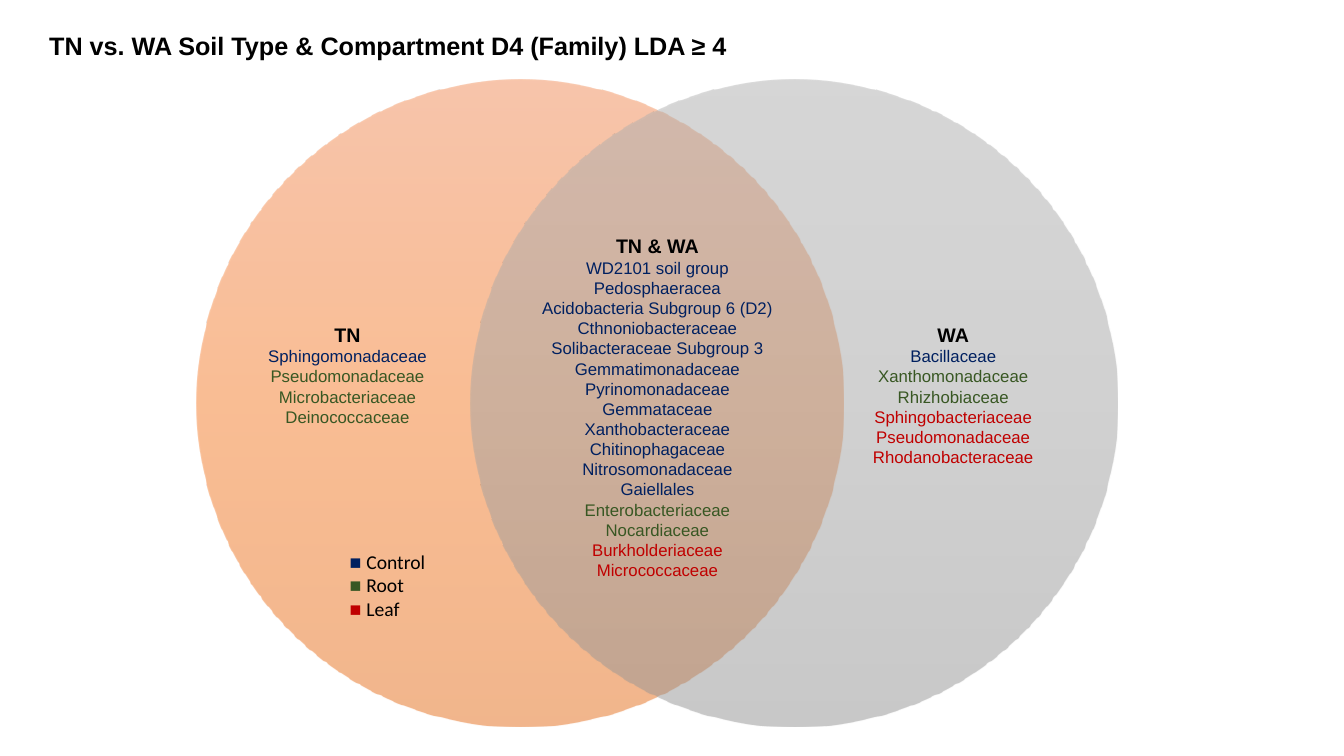
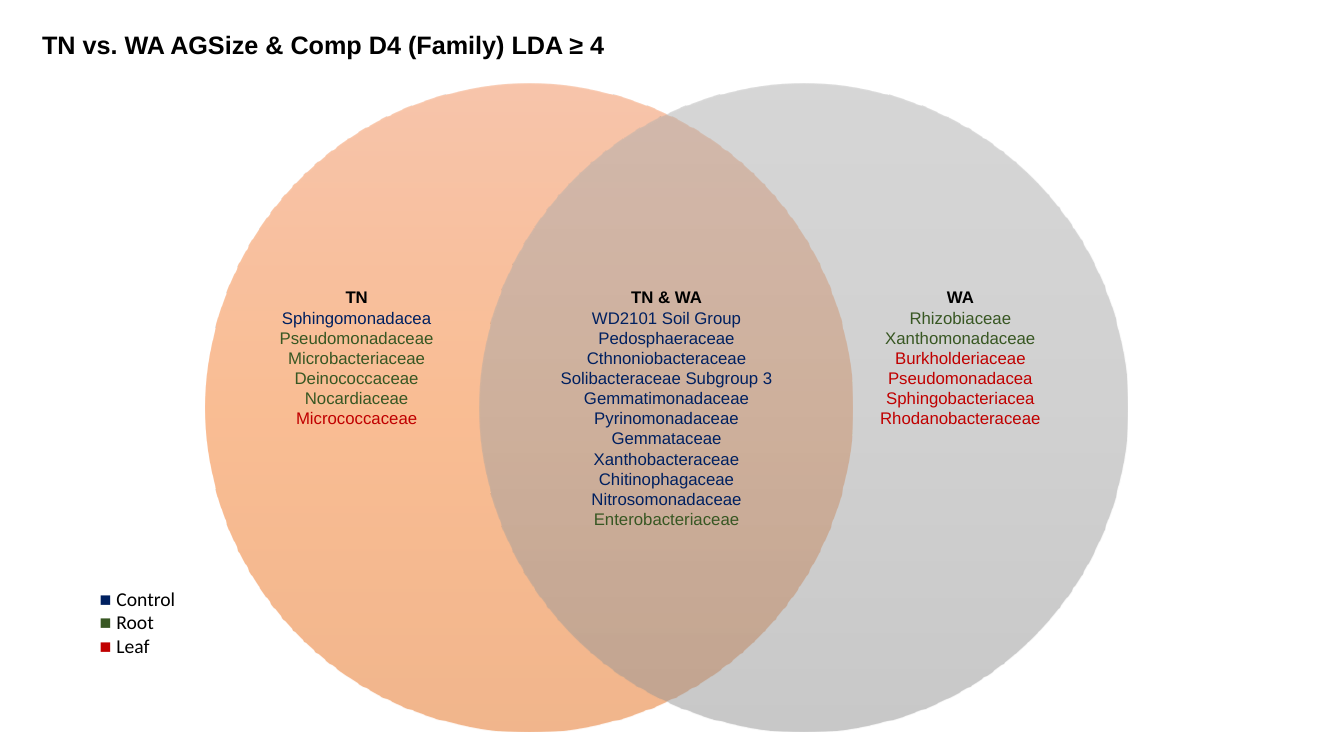
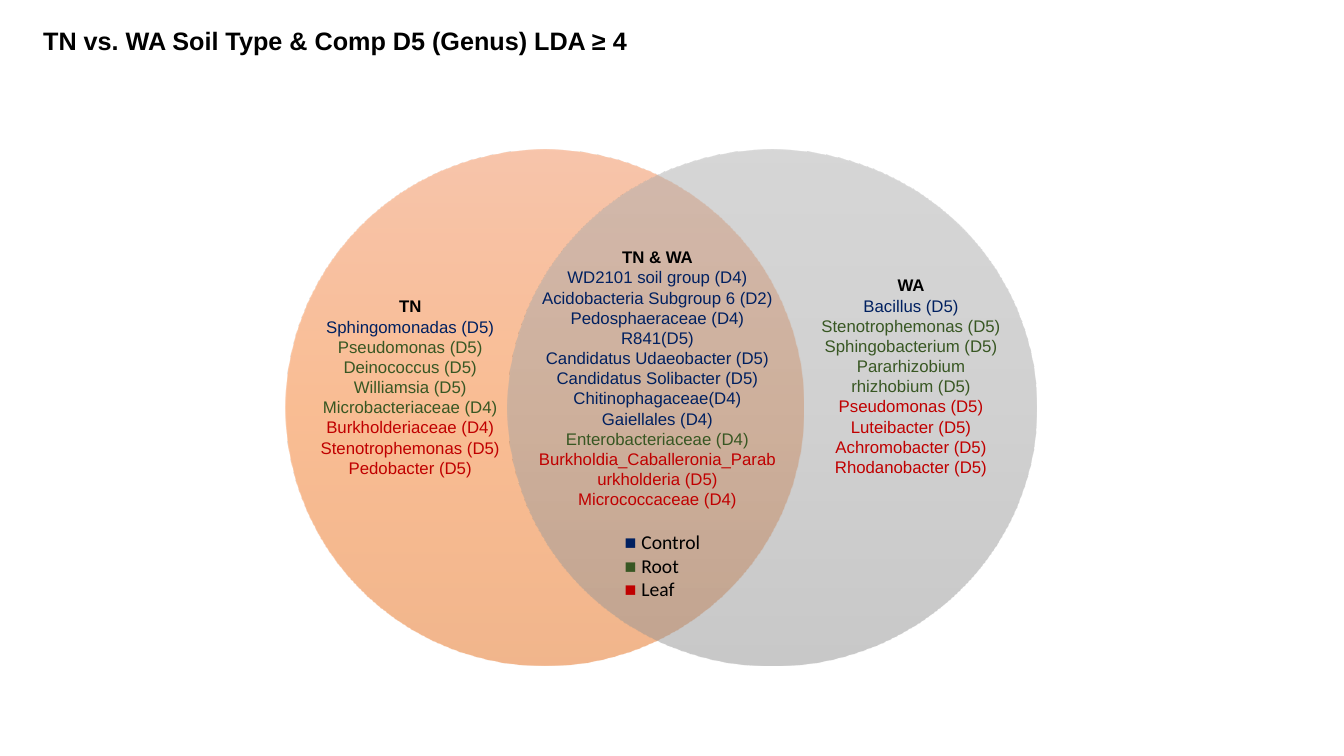
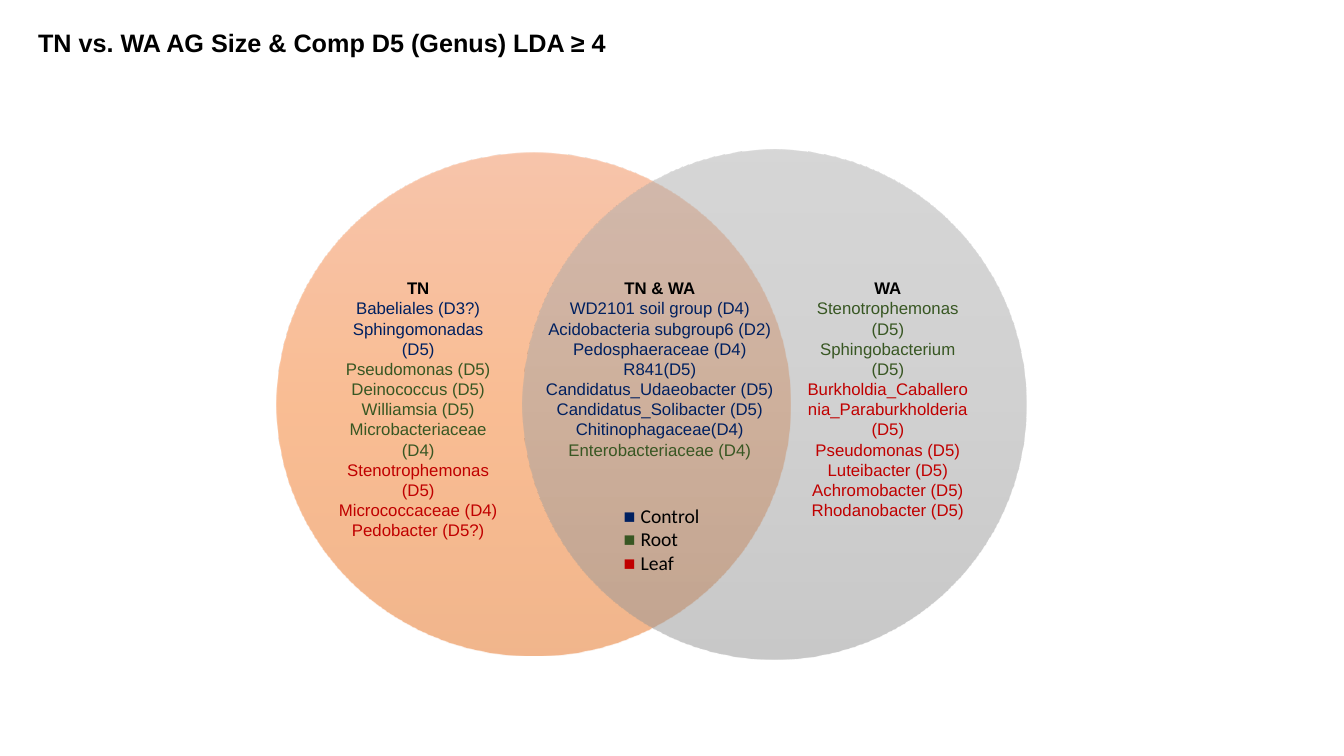
from dataclasses import dataclass

from lxml.etree import SubElement
from pptx import Presentation
from pptx.dml.color import RGBColor
from pptx.enum.shapes import MSO_SHAPE as Preset
from pptx.enum.text import PP_ALIGN as Align
from pptx.oxml.ns import qn
from pptx.shapes.autoshape import Shape
from pptx.slide import Slide
from pptx.util import Cm, Pt

COLORS = {
    "text": "000000",
    "paper": "FFFFFF",
    "control": "002060",
    "root": "385723",
    "leaf": "C00000",
}
GRADIENTS = {
    "tn": ("F18C57", "F67B28", "E56C19"),
    "wa": ("AFAFAF", "A5A5A5", "939393"),
}
COMPARTMENTS = {"control": "Control", "root": "Root", "leaf": "Leaf"}
TITLE_HEIGHT = 1.02
LEGEND_HEIGHT = 2.06


@dataclass
class Area:
    """Left, top, width and height in centimetres."""
    left: float
    top: float
    width: float
    height: float

    def lengths(self) -> tuple[Cm, Cm, Cm, Cm]:
        return Cm(self.left), Cm(self.top), Cm(self.width), Cm(self.height)


@dataclass
class TaxaList:
    heading: str
    area: Area
    control: tuple[str, ...] = ()
    root: tuple[str, ...] = ()
    leaf: tuple[str, ...] = ()


@dataclass
class Venn:
    title: str
    title_area: Area
    tn_circle: Area
    wa_circle: Area
    lists: tuple[TaxaList, ...]
    legend_area: Area
    heading_size: int = 12
    legend_filled: bool = False


VENNS = (
    Venn(
        "TN vs. WA Soil Type & Compartment D4 (Family) LDA ≥ 4",
        Area(0.99, 0.64, 23.85, TITLE_HEIGHT),
        Area(4.95, 2.01, 16.31, 16.31),
        Area(11.86, 2.01, 16.31, 16.31),
        (
            TaxaList(
                "TN & WA", Area(13.28, 5.77, 6.58, 10.01),
                control=(
                    "WD2101 soil group", "Pedosphaeracea",
                    "Acidobacteria Subgroup 6 (D2)", "Cthnoniobacteraceae",
                    "Solibacteraceae Subgroup 3", "Gemmatimonadaceae",
                    "Pyrinomonadaceae", "Gemmataceae", "Xanthobacteraceae",
                    "Chitinophagaceae", "Nitrosomonadaceae", "Gaiellales",
                ),
                root=("Enterobacteriaceae", "Nocardiaceae"),
                leaf=("Burkholderiaceae", "Micrococcaceae"),
            ),
            TaxaList(
                "TN", Area(6.5, 8, 4.52, 3.51),
                control=("Sphingomonadaceae",),
                root=("Pseudomonadaceae", "Microbacteriaceae", "Deinococcaceae"),
            ),
            TaxaList(
                "WA", Area(21.74, 8, 4.57, 3.94),
                control=("Bacillaceae",),
                root=("Xanthomonadaceae", "Rhizhobiaceae"),
                leaf=("Sphingobacteriaceae", "Pseudomonadaceae",
                      "Rhodanobacteraceae"),
            ),
        ),
        Area(8.56, 13.72, 2.72, LEGEND_HEIGHT),
        heading_size=14,
    ),
    Venn(
        "TN vs. WA AGSize & Comp D4 (Family) LDA ≥ 4",
        Area(0.81, 0.61, 18.21, TITLE_HEIGHT),
        Area(5.18, 2.11, 16.31, 16.31),
        Area(12.09, 2.11, 16.31, 16.31),
        (
            TaxaList(
                "TN & WA", Area(13.51, 7.11, 6.58, 7.95),
                control=(
                    "WD2101 Soil Group", "Pedosphaeraceae Cthnoniobacteraceae",
                    "Solibacteraceae Subgroup 3", "Gemmatimonadaceae",
                    "Pyrinomonadaceae", "Gemmataceae", "Xanthobacteraceae",
                    "Chitinophagaceae", "Nitrosomonadaceae",
                ),
                root=("Enterobacteriaceae",),
            ),
            TaxaList(
                "TN", Area(6.73, 7.11, 4.52, 4.37),
                control=("Sphingomonadacea",),
                root=("Pseudomonadaceae", "Microbacteriaceae",
                      "Deinococcaceae", "Nocardiaceae"),
                leaf=("Micrococcaceae",),
            ),
            TaxaList(
                "WA", Area(21.92, 7.11, 4.57, 3.84),
                root=("Rhizobiaceae", "Xanthomonadaceae"),
                leaf=("Burkholderiaceae", "Pseudomonadacea",
                      "Sphingobacteriacea", "Rhodanobacteraceae"),
            ),
        ),
        Area(2.26, 14.66, 2.72, LEGEND_HEIGHT),
        legend_filled=True,
    ),
    Venn(
        "TN vs. WA Soil Type & Comp D5 (Genus) LDA ≥ 4",
        Area(0.84, 0.51, 15.37, TITLE_HEIGHT),
        Area(7.19, 3.78, 13.06, 12.98),
        Area(12.8, 3.78, 13.31, 12.98),
        (
            TaxaList(
                "TN & WA", Area(13.28, 6.1, 6.58, 7.95),
                control=(
                    "WD2101 soil group (D4)", "Acidobacteria Subgroup 6 (D2)",
                    "Pedosphaeraceae (D4)", "R841(D5)",
                    "Candidatus Udaeobacter (D5)", "Candidatus Solibacter (D5)",
                    "Chitinophagaceae(D4)", "Gaiellales (D4)",
                ),
                root=("Enterobacteriaceae (D4)",),
                leaf=("Burkholdia_Caballeronia_Paraburkholderia (D5)",
                      "Micrococcaceae (D4)"),
            ),
            TaxaList(
                "TN", Area(7.75, 7.34, 5.18, 5.38),
                control=("Sphingomonadas (D5)",),
                root=("Pseudomonas (D5)", "Deinococcus (D5)",
                      "Williamsia (D5)", "Microbacteriaceae (D4)"),
                leaf=("Burkholderiaceae (D4)", "Stenotrophemonas (D5)",
                      "Pedobacter (D5)"),
            ),
            TaxaList(
                "WA", Area(20.37, 6.81, 5.18, 5.89),
                control=("Bacillus (D5)",),
                root=("Stenotrophemonas (D5)", "Sphingobacterium (D5)",
                      "Pararhizobium rhizhobium (D5)"),
                leaf=("Pseudomonas (D5)", "Luteibacter (D5)",
                      "Achromobacter (D5)", "Rhodanobacter (D5)"),
            ),
        ),
        Area(15.49, 13.23, 2.46, LEGEND_HEIGHT),
    ),
    Venn(
        "TN vs. WA AG Size & Comp D5 (Genus) LDA ≥ 4",
        Area(0.71, 0.56, 14.96, 1.8),
        Area(6.96, 3.86, 12.95, 12.67),
        Area(13.16, 3.78, 12.7, 12.83),
        (
            TaxaList(
                "TN & WA", Area(13.34, 6.88, 6.58, 5.89),
                control=(
                    "WD2101 soil group (D4)", "Acidobacteria subgroup6 (D2)",
                    "Pedosphaeraceae (D4)", "R841(D5)",
                    "Candidatus_Udaeobacter (D5)", "Candidatus_Solibacter (D5)",
                    "Chitinophagaceae(D4)",
                ),
                root=("Enterobacteriaceae (D4)",),
            ),
            TaxaList(
                "TN", Area(8.28, 6.88, 4.52, 6.93),
                control=("Babeliales (D3?)", "Sphingomonadas (D5)"),
                root=("Pseudomonas (D5)", "Deinococcus (D5)",
                      "Williamsia (D5)", "Microbacteriaceae (D4)"),
                leaf=("Stenotrophemonas (D5)", "Micrococcaceae (D4)",
                      "Pedobacter (D5?)"),
            ),
            TaxaList(
                "WA", Area(20.09, 6.88, 4.57, 6.4),
                root=("Stenotrophemonas (D5)", "Sphingobacterium (D5)"),
                leaf=("Burkholdia_Caballeronia_Paraburkholderia (D5)",
                      "Pseudomonas (D5)", "Luteibacter (D5)",
                      "Achromobacter (D5)", "Rhodanobacter (D5)"),
            ),
        ),
        Area(15.47, 12.57, 2.49, LEGEND_HEIGHT),
    ),
)


def style(span, size: int, color: str = "text", name: str = "Arial",
          bold: bool = False) -> None:
    """Format a run."""
    span.font.name = name
    span.font.size = Pt(size)
    span.font.bold = bold
    span.font.color.rgb = RGBColor.from_string(COLORS[color])


def add_text(page: Slide, area: Area, lines: list[str]) -> Shape:
    box = page.shapes.add_textbox(*area.lengths())
    box.text_frame.word_wrap = True
    box.text_frame.text = "\n".join(lines)
    return box


def add_title(page: Slide, title: str, area: Area) -> None:
    box = add_text(page, area, [title])
    style(box.text_frame.paragraphs[0].runs[0], 18, bold=True)


def add_circle(page: Slide, area: Area, colors: tuple[str, ...]) -> None:
    """Draw a half-transparent ellipse shaded from top to bottom."""
    circle = page.shapes.add_shape(Preset.OVAL, *area.lengths())
    circle.shadow.inherit = False
    circle.line.fill.background()
    circle.fill.gradient()
    circle.fill.gradient_angle = 270
    stops = circle.element.spPr.find(".//" + qn("a:gsLst"))
    stops.clear()
    for index, color in enumerate(colors):
        stop = SubElement(stops, qn("a:gs"), pos=str(index * 50000))
        shade = SubElement(stop, qn("a:srgbClr"), val=color)
        SubElement(shade, qn("a:alpha"), val="50000")


def add_taxa(page: Slide, taxa: TaxaList, heading_size: int) -> None:
    groups = {"control": taxa.control, "root": taxa.root, "leaf": taxa.leaf}
    rows = [(name, key) for key, names in groups.items() for name in names]
    box = add_text(page, taxa.area, [taxa.heading] + [name for name, _ in rows])
    heading, *paragraphs = box.text_frame.paragraphs
    heading.alignment = Align.CENTER
    style(heading.runs[0], heading_size, bold=True)
    for para, (_, key) in zip(paragraphs, rows):
        para.alignment = Align.CENTER
        style(para.runs[0], 12, key)


def add_legend(page: Slide, area: Area, filled: bool) -> None:
    box = add_text(page, area, ["■ "] * len(COMPARTMENTS))
    if filled:
        box.fill.solid()
        box.fill.fore_color.rgb = RGBColor.from_string(COLORS["paper"])
    for para, (key, label) in zip(box.text_frame.paragraphs, COMPARTMENTS.items()):
        style(para.runs[0], 14, key, "Times New Roman")
        span = para.add_run()
        span.text = label
        style(span, 14, name="Calibri")


def add_venn(page: Slide, venn: Venn) -> None:
    add_title(page, venn.title, venn.title_area)
    add_circle(page, venn.tn_circle, GRADIENTS["tn"])
    add_circle(page, venn.wa_circle, GRADIENTS["wa"])
    for taxa in venn.lists:
        add_taxa(page, taxa, venn.heading_size)
    add_legend(page, venn.legend_area, venn.legend_filled)


def main() -> None:
    deck = Presentation()
    deck.slide_width, deck.slide_height = Cm(33.87), Cm(19.05)
    blank = deck.slide_layouts[6]
    for venn in VENNS:
        add_venn(deck.slides.add_slide(blank), venn)
    deck.save("out.pptx")


if __name__ == "__main__":
    main()
